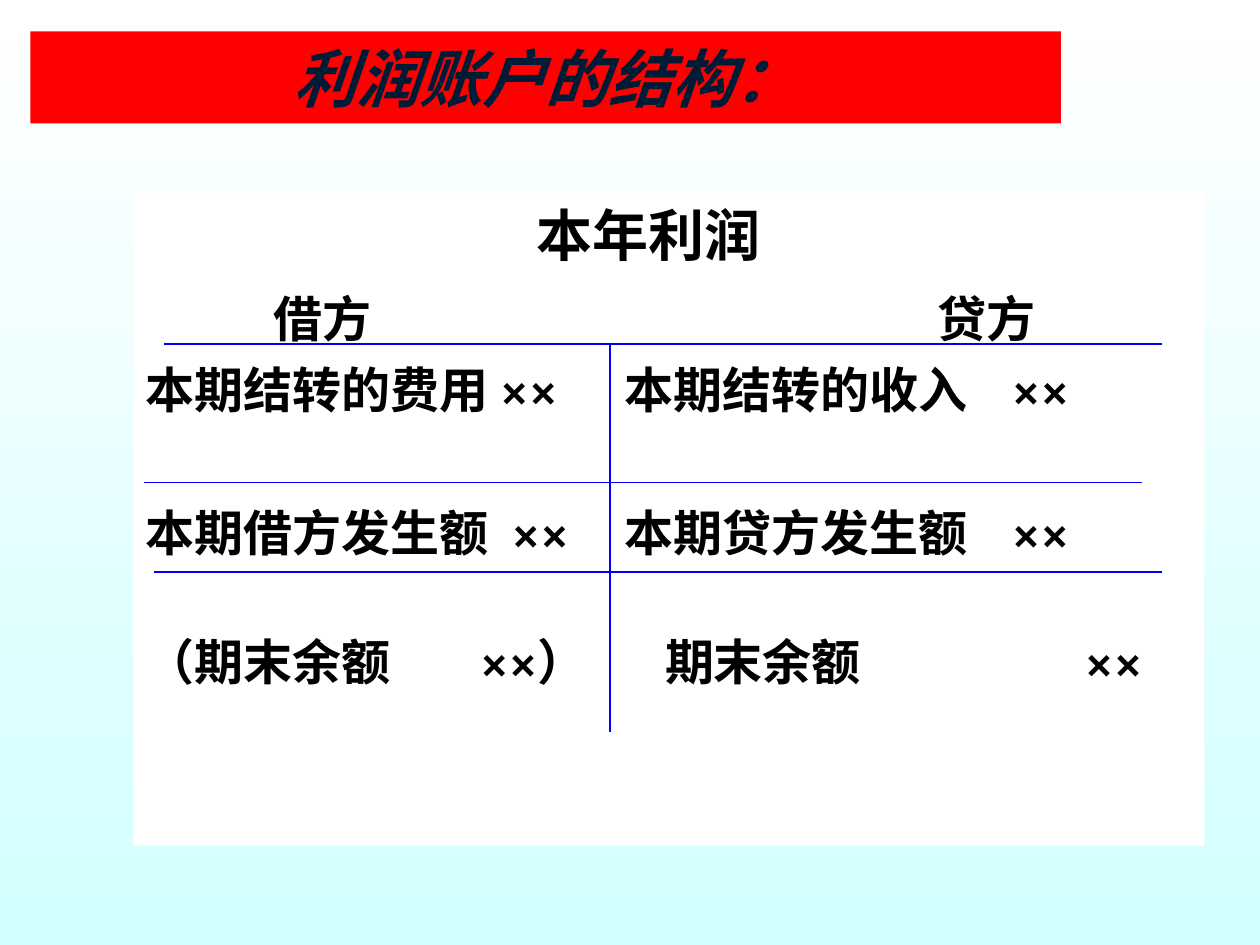
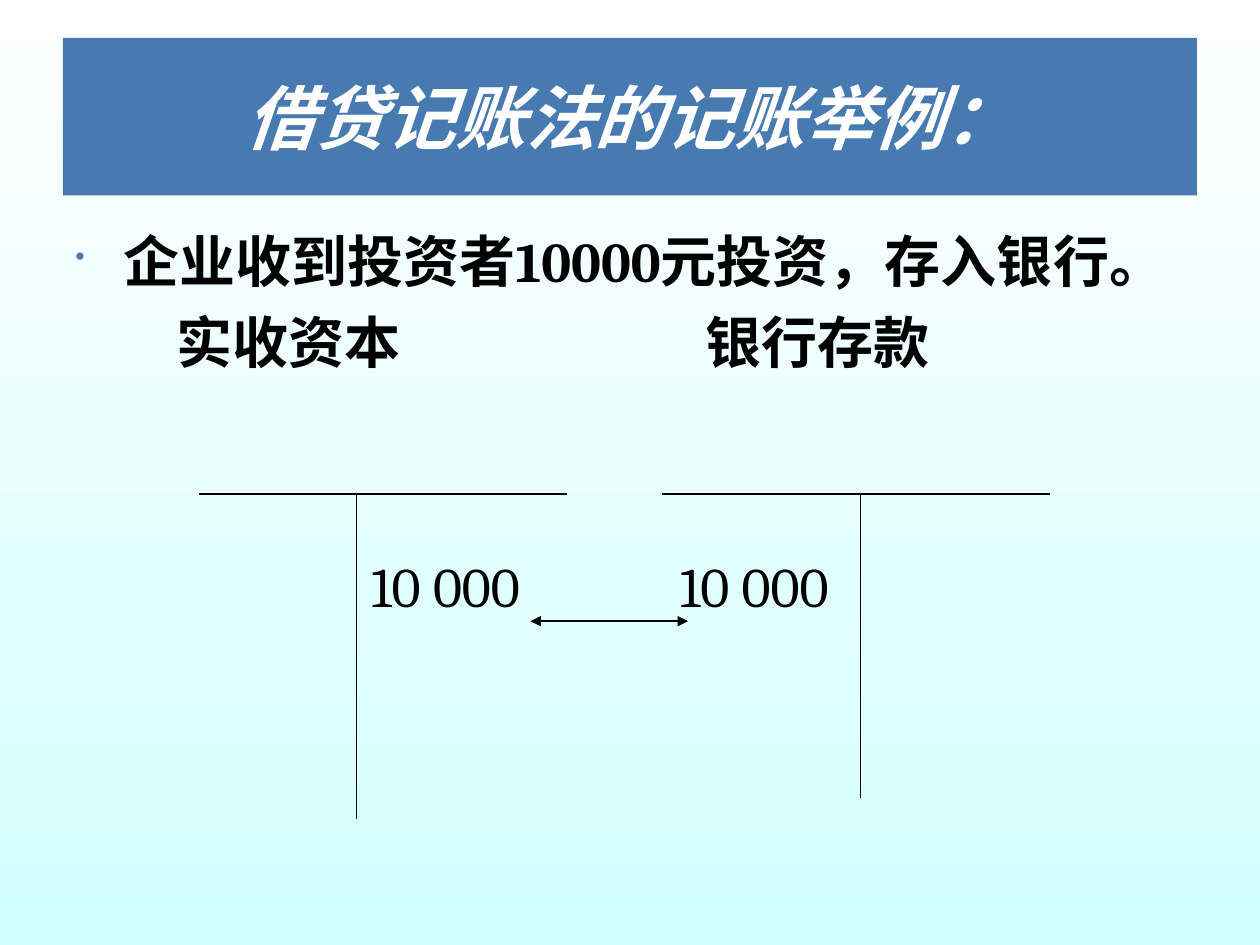
"""Builds two slides on the profit account and on debit-credit bookkeeping."""
import pptx
import pptx.dml.color
import pptx.enum.shapes
import pptx.enum.text
import pptx.oxml
import pptx.oxml.ns
import pptx.util
from pptx.util import Inches

RGBColor = pptx.dml.color.RGBColor
WHITE = RGBColor(0xFF, 0xFF, 0xFF)
BLACK = RGBColor(0x00, 0x00, 0x00)
PALE_CYAN = RGBColor(0xD2, 0xFF, 0xFF)
RED = RGBColor(0xFF, 0x00, 0x00)
NAVY = RGBColor(0x00, 0x1B, 0x36)
STEEL = RGBColor(0x47, 0x7A, 0xB1)
BLUE = RGBColor(0x00, 0x00, 0xFF)
TITLE_FONT, BODY_FONT = "Roboto", "Cambria"
HANGING = 0.38

# Body: place, fill, right margin. Each row: size, bold, space before, bulleted,
# cells as (tab position, text).
SLIDES = [
    {
        "title": ("利润账户的结构：", (0.24, 0.25, 8.18, 0.73), 36, RED, NAVY),
        "body": ((1.06, 1.54, 8.5, 5.17), WHITE, 0.1),
        "rows": [
            (32, True, 0, False, [(3.1, "本年利润")]),
            (28, True, 12, False, [(1.01, "借方"), (6.28, "贷方")]),
            (28, True, 7, False, [(0, "本期结转的费用"), (2.81, "××"),
                                  (3.8, "本期结转的收入"), (6.87, "××")]),
            (28, True, 48, False, [(0, "本期借方发生额"), (2.9, "××"),
                                   (3.8, "本期贷方发生额"), (6.87, "××")]),
            (28, True, 40, False, [(0, "（期末余额"), (2.65, "××）"),
                                   (4.12, "期末余额"), (7.45, "××")]),
        ],
        "line_color": BLUE,
        "lines": [(1.3, 2.73, 9.22, 2.73), (4.84, 2.73, 4.84, 5.81),
                  (1.14, 3.83, 9.06, 3.83), (1.22, 4.54, 9.22, 4.54)],
        "arrows": [],
    },
    {
        "title": ("借贷记账法的记账举例：", (0.5, 0.3, 9, 1.25), 40, STEEL, WHITE),
        "body": ((0.5, 1.75, 9, 4.95), None, 0.6),
        "rows": [
            (32, True, 0, True, [(0, "企业收到投资者10000元投资，存入银行。")]),
            (32, True, 8, False, [(0.8, "实收资本"), (5.0, "银行存款")]),
            (32, False, 101, False, [(2.35, "10 000"), (4.8, "10 000")]),
        ],
        "line_color": BLACK,
        "lines": [(1.58, 3.92, 4.5, 3.92), (2.83, 3.92, 2.83, 6.5),
                  (5.25, 3.92, 8.33, 3.92), (6.83, 3.92, 6.83, 6.33)],
        "arrows": [(4.21, 4.93, 5.46, 4.93)],
    },
]


def add_element(parent, tag, **attributes):
    """Append a drawing element with the given attributes."""
    element = pptx.oxml.parse_xml(f"<a:{tag} {pptx.oxml.ns.nsdecls('a')}/>")
    for name, value in attributes.items():
        element.set(name, str(value))
    parent.append(element)
    return element


def paint_background(page):
    """Fill the page with the shared vertical gradient."""
    fill = page.background.fill
    fill.gradient()
    fill.gradient_angle = 270
    for stop, color in zip(fill.gradient_stops, (WHITE, PALE_CYAN)):
        stop.color.rgb = color


def add_box(page, place, color):
    """Add a filled rectangle, or a text box when there is no colour."""
    place = [Inches(length) for length in place]
    if color is None:
        box = page.shapes.add_textbox(*place)
    else:
        box = page.shapes.add_shape(pptx.enum.shapes.MSO_SHAPE.RECTANGLE, *place)
        box.shadow.inherit = False
        box.fill.solid()
        box.fill.fore_color.rgb = color
        box.line.fill.background()
    box.text_frame.word_wrap = True
    return box


def set_font(para, name, size, color, bold, italic=False):
    """Set the font of a whole paragraph."""
    font = para.font
    font.name, font.size = name, pptx.util.Pt(size)
    font.bold, font.italic = bold, italic
    font.color.rgb = color


def add_title(page, text, place, size, band_color, text_color):
    """Add the slanted bold title on its band."""
    frame = add_box(page, place, band_color).text_frame
    frame.vertical_anchor = pptx.enum.text.MSO_ANCHOR.MIDDLE
    para = frame.paragraphs[0]
    para.text = text
    para.alignment = pptx.enum.text.PP_ALIGN.CENTER
    set_font(para, TITLE_FONT, size, text_color, True, True)


def add_body(page, place, color, right_margin, rows):
    """Add the body text with its cells placed by tab stops."""
    frame = add_box(page, place, color).text_frame
    frame.vertical_anchor = pptx.enum.text.MSO_ANCHOR.TOP
    frame.margin_right = Inches(right_margin)
    for index, (size, bold, gap, bulleted, cells) in enumerate(rows):
        para = frame.add_paragraph() if index else frame.paragraphs[0]
        para.text = "".join(("\t" if stop else "") + text for stop, text in cells)
        para.alignment = pptx.enum.text.PP_ALIGN.LEFT
        properties = para._p.get_or_add_pPr()
        if bulleted:
            properties.set("marL", str(Inches(HANGING)))
            properties.set("indent", str(-Inches(HANGING)))
            add_element(add_element(properties, "buClr"), "srgbClr", val=STEEL)
            add_element(properties, "buSzPct", val=50000)
            add_element(properties, "buChar", char="•")
        stops = [stop for stop, text in cells if stop]
        if stops:
            tabs = add_element(properties, "tabLst")
            for stop in stops:
                add_element(tabs, "tab", pos=Inches(stop), algn="l")
        if gap:
            para.space_before = pptx.util.Pt(gap)
        set_font(para, BODY_FONT, size, BLACK, bold)


def add_line(page, ends, color, arrow=False):
    """Add a thin straight line, with arrowheads at both ends if asked."""
    line = page.shapes.add_connector(
        pptx.enum.shapes.MSO_CONNECTOR.STRAIGHT, *[Inches(end) for end in ends])
    line.line.color.rgb = color
    line.line.width = pptx.util.Pt(1)
    if arrow:
        for tag in ("headEnd", "tailEnd"):
            add_element(line.line._get_or_add_ln(), tag, type="triangle")
    add_element(line._element.spPr, "effectLst")


def main():
    """Build and save the deck."""
    deck = pptx.Presentation()
    deck.slide_width, deck.slide_height = Inches(10), Inches(7.5)
    for content in SLIDES:
        page = deck.slides.add_slide(deck.slide_layouts[6])
        paint_background(page)
        add_title(page, *content["title"])
        add_body(page, *content["body"], content["rows"])
        for ends in content["lines"]:
            add_line(page, ends, content["line_color"])
        for ends in content["arrows"]:
            add_line(page, ends, content["line_color"], arrow=True)
    deck.save("out.pptx")


if __name__ == "__main__":
    main()
